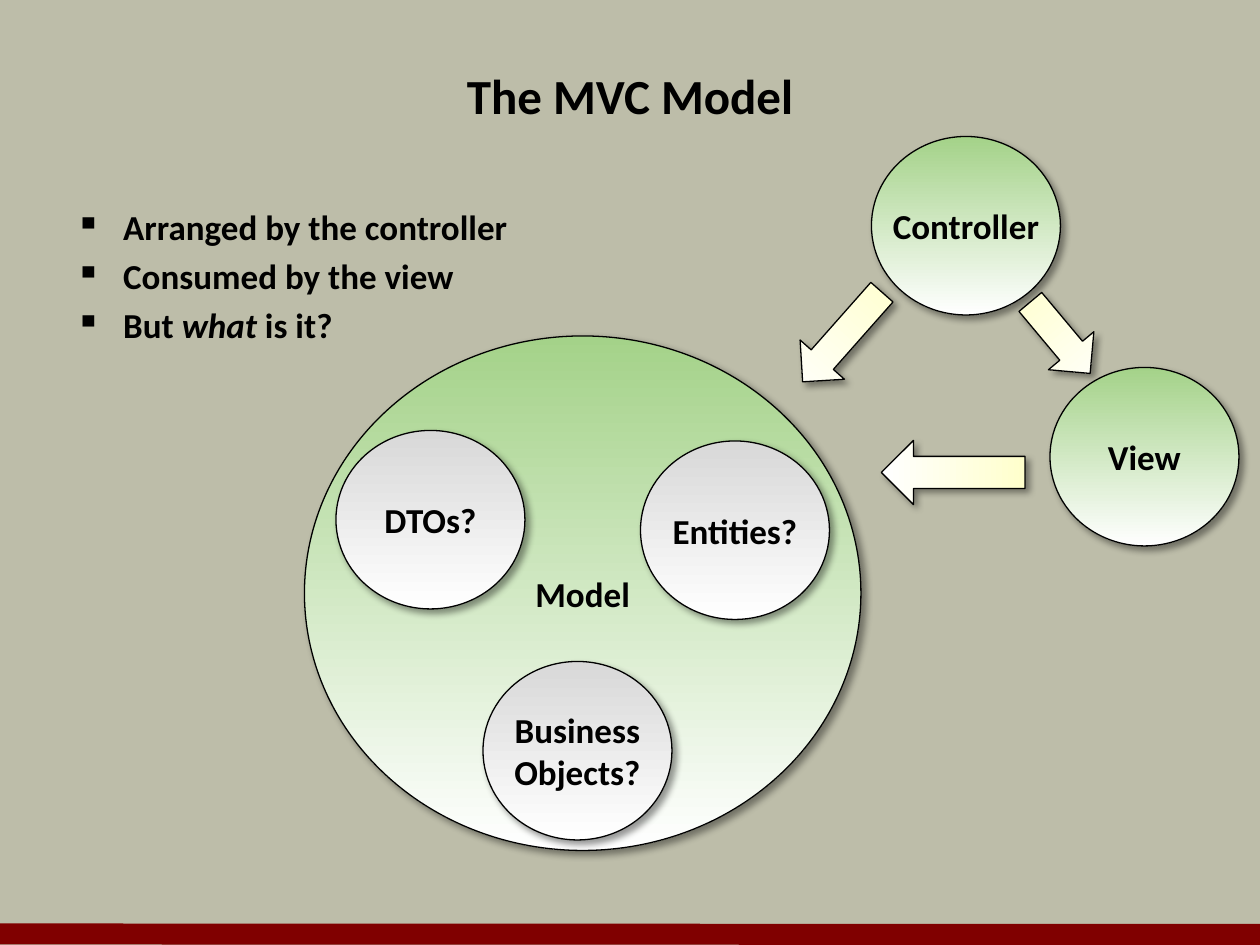
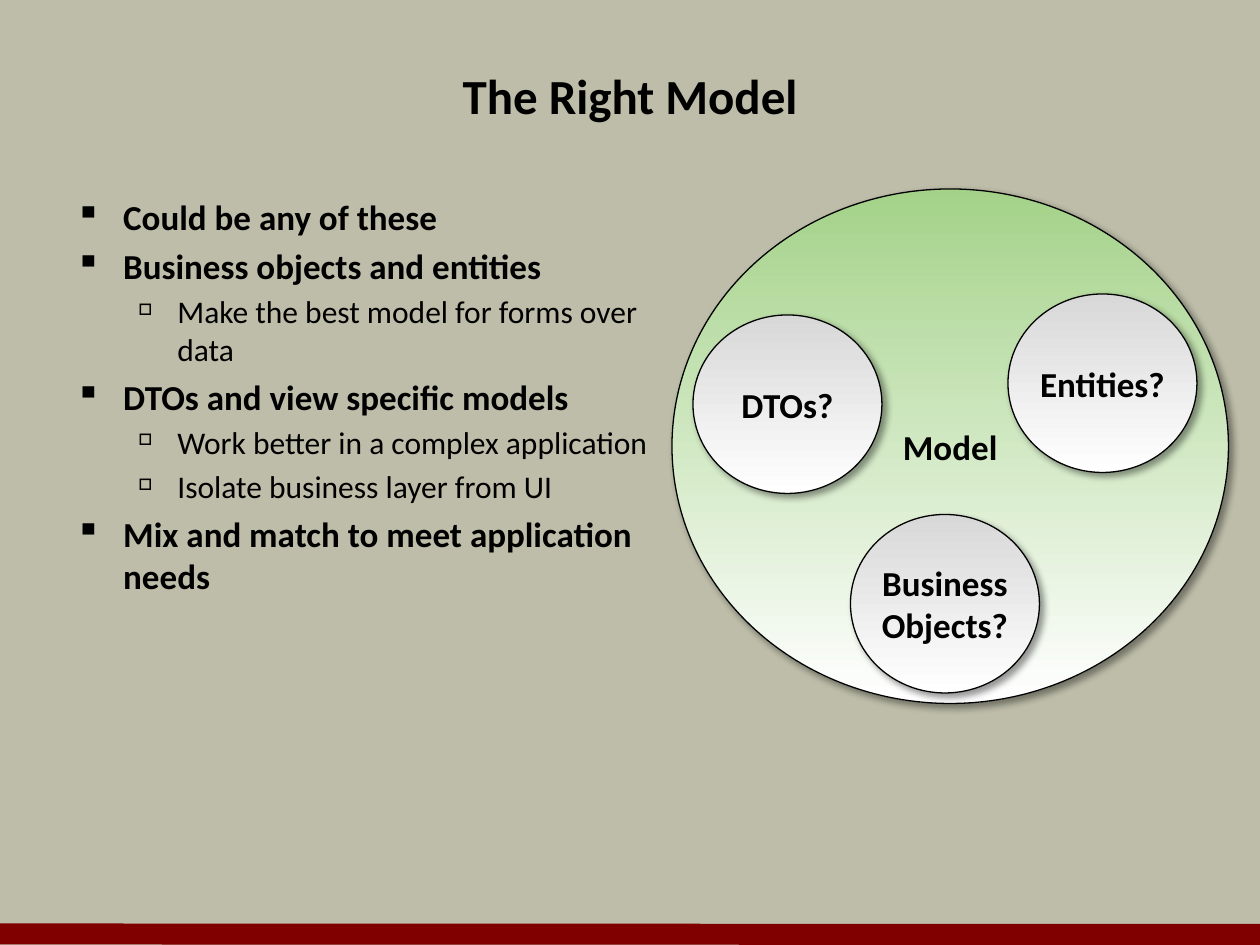
from lxml.etree import SubElement as Sub
from pptx import Presentation
from pptx.dml.color import RGBColor as RGB
from pptx.enum.shapes import MSO_CONNECTOR as LINE, MSO_SHAPE as FORM
from pptx.enum.text import MSO_ANCHOR as ANCHOR, PP_ALIGN as ALIGN
from pptx.oxml.ns import qn
from pptx.util import Inches, Pt

BLACK = RGB(0x00, 0x00, 0x00)
WHITE = RGB(0xFF, 0xFF, 0xFF)
SAND = RGB(0xBD, 0xBD, 0xA9)
WINE = RGB(0x80, 0x00, 0x00)
GREEN = RGB(0xA4, 0xD2, 0x89)
GREY = RGB(0xD8, 0xD8, 0xD8)
CREAM = RGB(0xFF, 0xFF, 0xCC)

# The grid: 120 columns by 90 rows on a 10 by 7.5 inch slide
WIDE, HIGH = Inches(10), Inches(7.5)
COLS, ROWS = 120, 90
DISC = (18, 17)
BLOB = (53, 49)

# Bullet levels: sign, sign size in %, text size, bold, margin, hang
LEVELS = [("▪", 100, 20, True, 0.38, 0.38),
          ("□", 50, 18, False, 0.81, 0.31)]


class Deck:
    """Holds the style and the current slide."""

    font = "Calibri"

    def __init__(self):
        self.prs = Presentation()
        self.prs.slide_width, self.prs.slide_height = WIDE, HIGH
        self.slide = None

    def grid(self, col, row, *size):
        """Turn columns and rows into slide lengths."""
        marks = (col, row) + size
        units = (WIDE / COLS, HIGH / ROWS) * 2
        return [round(mark * unit) for mark, unit in zip(marks, units)]

    def page(self, title):
        """Start a slide with ground, bottom band and title."""
        self.slide = self.prs.slides.add_slide(self.prs.slide_layouts[6])
        ground = self.slide.background.fill
        ground.solid()
        ground.fore_color.rgb = SAND
        self.band()
        frame = self.box(6, 4, 108, 10)
        frame.vertical_anchor = ANCHOR.MIDDLE
        self.label(frame, [title], 28)

    def band(self):
        ends = self.grid(0, 88.95, COLS, 89)
        band = self.slide.shapes.add_connector(LINE.STRAIGHT, *ends)
        band.line.color.rgb = WINE
        band.line.width = Pt(12)
        Sub(band._element.spPr, qn("a:effectLst"))

    def box(self, *place):
        frame = self.slide.shapes.add_textbox(*self.grid(*place)).text_frame
        frame.word_wrap = True
        return frame

    def run(self, para, text, size, bold=True, slant=False):
        run = para.add_run()
        run.text = text
        font = run.font
        font.name, font.size = self.font, Pt(size)
        font.bold, font.italic = bold, slant
        font.color.rgb = BLACK

    def paras(self, frame, items):
        """Pair each item with a paragraph of the frame."""
        for num, item in enumerate(items):
            yield (frame.add_paragraph() if num else frame.paragraphs[0]), item

    def label(self, frame, lines, size=20):
        for para, text in self.paras(frame, lines):
            para.alignment = ALIGN.CENTER
            self.run(para, text, size)

    def bullets(self, place, items):
        """List (level, text) items; every second part between * is italic."""
        frame = self.box(*place)
        for num, (para, (level, text)) in enumerate(self.paras(frame, items)):
            sign, share, size, bold, left, hang = LEVELS[level]
            para.level = level
            props = para._p.get_or_add_pPr()
            props.set("marL", str(Inches(left)))
            props.set("indent", str(-Inches(hang)))
            Sub(props, qn("a:buSzPct"), val=str(share * 1000))
            Sub(props, qn("a:buChar"), char=sign)
            para.space_before = Pt(size * 0.2 if num else 0)
            for part, words in enumerate(text.split("*")):
                self.run(para, words, size, bold, part % 2 == 1)

    def shape(self, form, place, tint):
        """Add an outlined shape that fades to white and casts a shadow."""
        shape = self.slide.shapes.add_shape(form, *self.grid(*place))
        shape.fill.gradient()
        shape.fill.gradient_angle = 270
        for stop, shade in zip(shape.fill.gradient_stops, (tint, WHITE)):
            stop.color.rgb = shade
        shape.line.color.rgb = BLACK
        shape.line.width = Pt(0.75)
        shape.shadow.inherit = False
        glow = Sub(shape._element.spPr.find(qn("a:effectLst")),
                   qn("a:outerShdw"), blurRad=str(Pt(4)), dist=str(Pt(3)),
                   dir=str(45 * 60000), algn="tl", rotWithShape="0")
        ink = Sub(glow, qn("a:srgbClr"), val=str(BLACK))
        Sub(ink, qn("a:alpha"), val="40000")
        return shape

    def disc(self, spot, lines, tint=GREEN, size=DISC):
        frame = self.shape(FORM.OVAL, spot + size, tint).text_frame
        frame.word_wrap = False
        frame.vertical_anchor = ANCHOR.MIDDLE
        self.label(frame, lines)

    def arrow(self, place, turn):
        self.shape(FORM.DOWN_ARROW, place, CREAM).rotation = turn

    def model(self, col, row, dto):
        """Draw the model with its three candidates, set off from its corner."""
        self.disc((col, row), ["Model"], size=BLOB)
        parts = [(dto, ["DTOs?"]), ((32, 10), ["Entities?"]),
                 ((17, 31), ["Business", "Objects?"])]
        for (right, down), lines in parts:
            self.disc((col + right, row + down), lines, GREY)


def main():
    deck = Deck()

    # Slide 1: who uses the model
    deck.page("The MVC Model")
    deck.bullets((6, 19, 108, 59), [
        (0, "Arranged by the controller"),
        (0, "Consumed by the view"),
        (0, "But *what* is it?"),
    ])
    deck.disc((83, 13), ["Controller"])
    deck.disc((100, 35), ["View"])
    deck.model(29, 32, (3, 9))
    deck.arrow((98.16, 27.72, 5.64, 8.88), 320.1)  # controller to view
    deck.arrow((77.4, 26.4, 5.64, 11.4), 41.5)     # controller to model
    deck.arrow((87.72, 38.16, 6.12, 13.68), 90)    # view to model

    # Slide 2: which model to choose
    deck.page("The Right Model")
    deck.bullets((6, 18, 59, 59), [
        (0, "Could be any of these"),
        (0, "Business objects and entities"),
        (1, "Make the best model for forms over data"),
        (0, "DTOs and view specific models"),
        (1, "Work better in a complex application"),
        (1, "Isolate business layer from UI"),
        (0, "Mix and match to meet application needs"),
    ])
    deck.model(64, 18, (2, 12))

    deck.prs.save("out.pptx")


if __name__ == "__main__":
    main()
